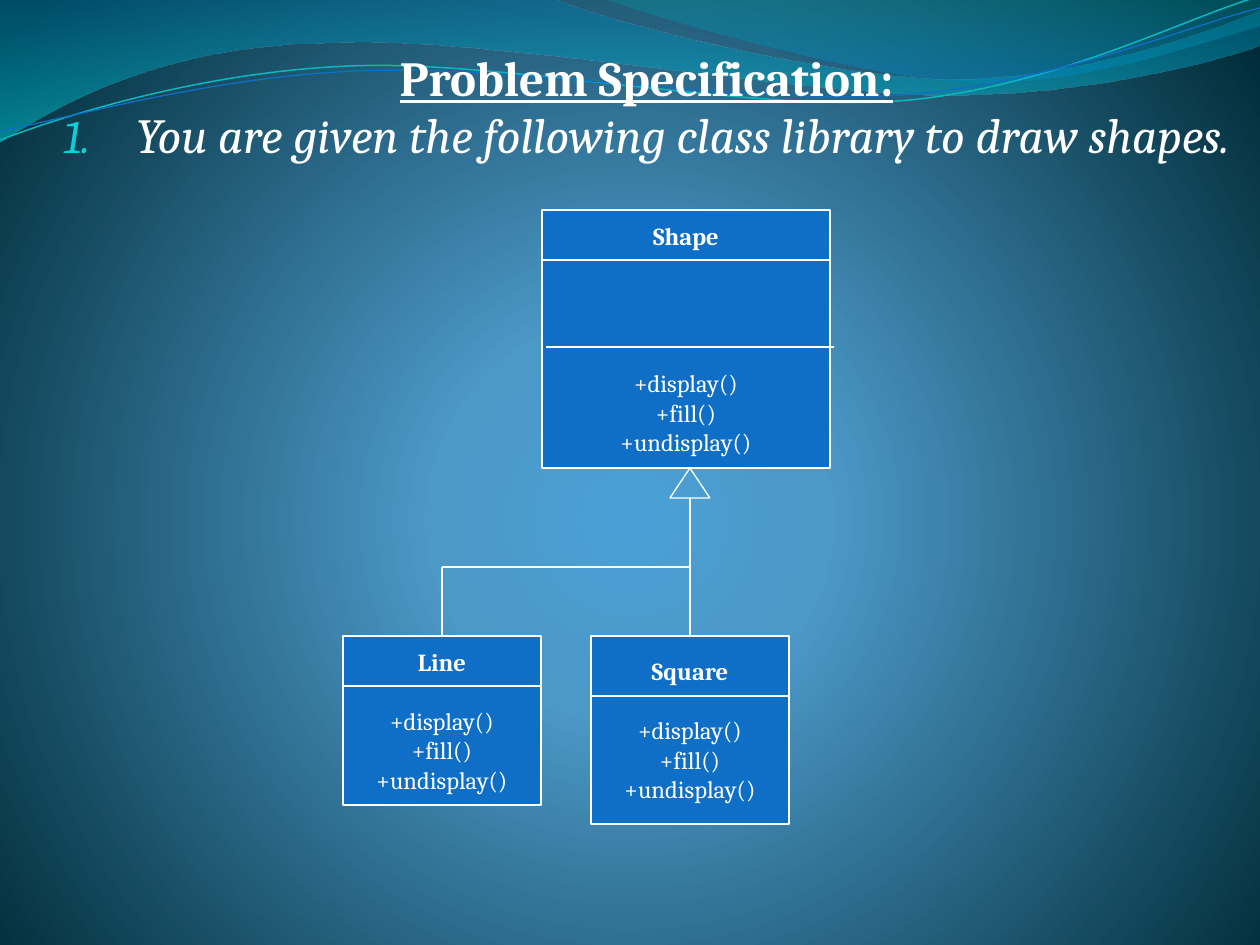
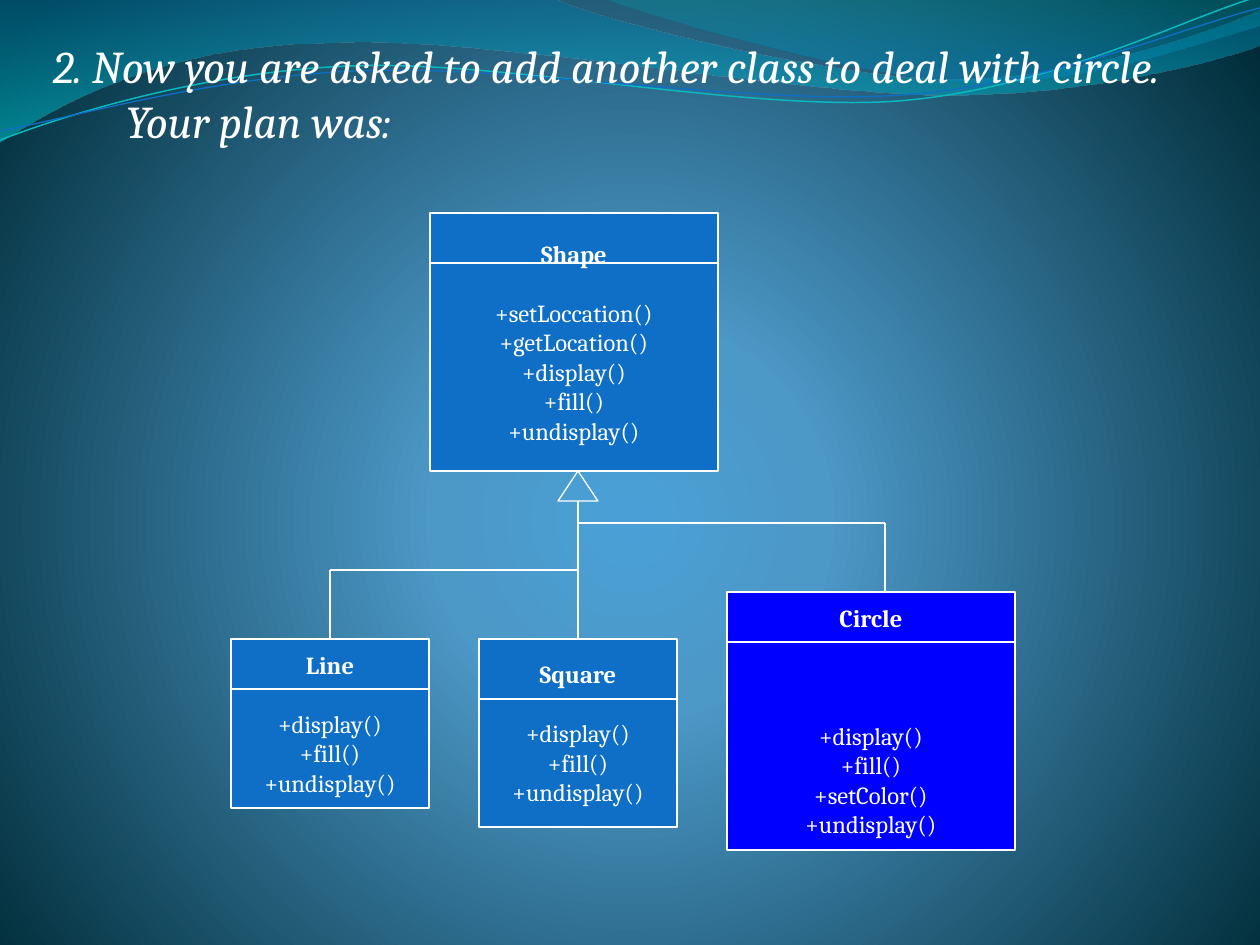
import lxml.etree
import pptx
import pptx.dml.color
import pptx.enum.shapes
import pptx.enum.text
import pptx.oxml
import pptx.oxml.ns
import pptx.util

RGBColor = pptx.dml.color.RGBColor
WHITE = RGBColor(0xFF, 0xFF, 0xFF)
CLASS_BLUE = RGBColor(0x0F, 0x6F, 0xC6)
NEW_CLASS_BLUE = RGBColor(0x00, 0x00, 0xFF)
NUMBER_CYAN = RGBColor(0x0B, 0xD0, 0xD9)
WAVE_TEAL = RGBColor(0x0A, 0xB8, 0xBF)
GLOW_CENTRE = RGBColor(0x4A, 0xA0, 0xD6)
GLOW_MIDDLE = RGBColor(0x4C, 0x98, 0xC7)
GLOW_EDGE = RGBColor(0x00, 0x2C, 0x38)
BAND_BLUE = RGBColor(0x00, 0x74, 0xA1)
BAND_TEAL = RGBColor(0x00, 0xC6, 0xCF)
CORNER_TEAL = RGBColor(0x00, 0xA1, 0xA9)
CORNER_BLUE = RGBColor(0x00, 0x8B, 0xBF)

FONT = "Cambria"
EMU_PER_PX = 914400 / 126
LINE_PITCH = 16.8  # height in points of one 14 pt line
HANGING = 73
RIGHT_INDENT = 6
ALIGN = pptx.enum.text.PP_ALIGN
SHAPE = pptx.enum.shapes.MSO_SHAPE
qn = pptx.oxml.ns.qn


def px(*lengths):
    return [pptx.util.Emu(round(length * EMU_PER_PX)) for length in lengths]


def add_rule(slide, x1, y1, x2, y2, child=None):
    """Draw a white line; with a child, end it at the child's top side."""
    rule = slide.shapes.add_connector(
        pptx.enum.shapes.MSO_CONNECTOR.STRAIGHT, *px(x1, y1, x2, y2))
    rule.line.color.rgb = WHITE
    rule.line.width = pptx.util.Pt(0.75)
    lxml.etree.SubElement(rule.element.spPr, qn("a:effectLst"))
    if child is not None:
        rule.end_connect(child, 0)


prs = pptx.Presentation()
prs.slide_width, prs.slide_height = px(1260, 945)
master = prs.slide_master
slides = [prs.slides.add_slide(prs.slide_layouts[0]) for _ in range(2)]

# Waves on the master: start, then segments (one point: line, three: curve)
DOWNWARD = '<a:lin ang="5400000" scaled="0"/>'
waves = [
    ((0, 0), [[(554, -1)],
              [(600, 21), (837, 79), (955, 79)],
              [(1075, 79), (1208, 33), (1260, 11)],
              [(1261, 45)],
              [(1239, 55), (1096, 96), (940, 95)],
              [(784, 93), (481, 35), (324, 43)],
              [(163, 45), (58, 105), (-1, 142)],
              [(0, 0)]],
     [(0, BAND_BLUE, 45), (100, BAND_TEAL, 55)], None, 0),
    ((604, -1), [[(641, 14), (859, 78), (969, 82)],
                 [(1079, 87), (1211, 40), (1260, 26)],
                 [(1260, 0)],
                 [(604, -1)]],
     [(0, CORNER_TEAL, 30), (80, CORNER_BLUE, 45)], None, 0),
    ((0, 140), [[(60, 117), (199, 72), (349, 66)],
                [(498, 59), (747, 112), (898, 101)],
                [(1050, 89), (1182, 19), (1257, -3)]],
     None, WAVE_TEAL, 0.85),
    ((0, 131), [[(59, 121), (207, 77), (357, 71)],
                [(508, 64), (752, 106), (903, 95)],
                [(1053, 84), (1187, 26), (1260, 8)]],
     None, CLASS_BLUE, 0.75),
]
gradients = [(
    master.background.fill, master.element,
    [(0, GLOW_CENTRE, 100), (25, GLOW_MIDDLE, 100), (100, GLOW_EDGE, 100)],
    '<a:path path="circle">'
    '<a:fillToRect l="10000" t="110000" r="10000" b="100000"/></a:path>')]

for order, (start, segments, stops, line_colour, line_width) in enumerate(waves):
    builder = slides[0].shapes.build_freeform(*px(*start))
    builder.add_line_segments(
        [px(*point) for segment in segments for point in segment],
        close=stops is not None)
    wave = builder.convert_to_shape()
    # Turn each run of three points into one Bézier curve
    steps = iter(wave.element.findall(".//" + qn("a:lnTo")))
    for segment in segments:
        pieces = [next(steps) for _ in segment]
        if len(pieces) == 3:
            curve = lxml.etree.Element(qn("a:cubicBezTo"))
            pieces[0].addprevious(curve)
            for piece in pieces:
                curve.append(piece[0])
                piece.getparent().remove(piece)
    wave.shadow.inherit = False
    if stops:
        wave.line.fill.background()
        gradients.append((wave.fill, wave.element, stops, DOWNWARD))
    else:
        wave.fill.background()
        wave.line.color.rgb = line_colour
        wave.line.width = pptx.util.Pt(line_width)
    wave.element.nvSpPr.cNvPr.set("id", str(20 + order))
    master.shapes.element.insert(2 + order, wave.element)

# Gradients of the background and the bands
for fill, owner, stops, direction in gradients:
    fill.gradient()
    plain = owner.find(".//" + qn("a:gradFill"))
    stop_xml = ""
    for position, colour, opacity in stops:
        alpha = f'<a:alpha val="{opacity * 1000}"/>' if opacity < 100 else ""
        stop_xml += (f'<a:gs pos="{position * 1000}">'
                     f'<a:srgbClr val="{colour}">{alpha}</a:srgbClr></a:gs>')
    plain.getparent().replace(plain, pptx.oxml.parse_xml(
        f'<a:gradFill {pptx.oxml.ns.nsdecls("a")} rotWithShape="1">'
        f'<a:gsLst>{stop_xml}</a:gsLst>{direction}</a:gradFill>'))

# Headings: place, size, alignment, line spacing, paragraphs (text, is title, is numbered)
headings = [
    ((63, 53), 28, ALIGN.CENTER, 0.8, [
        ("Problem Specification:", True, False),
        ("You are given the following class library to draw shapes. ", False, True)]),
    ((53, 32), 26, ALIGN.LEFT, None, [
        ("2. Now you are asked to add another class to deal with circle. "
         "Your plan was:", False, False)]),
]
for slide, (place, size, align, spacing, paragraphs) in zip(slides, headings):
    slide.shapes.title.element.getparent().remove(slide.shapes.title.element)
    heading = slide.placeholders[1]
    heading.left, heading.top, heading.width, heading.height = px(*place, 1176, 179)
    frame = heading.text_frame
    frame.word_wrap = True
    frame.auto_size = pptx.enum.text.MSO_AUTO_SIZE.NONE
    frame.vertical_anchor = pptx.enum.text.MSO_ANCHOR.TOP
    (frame.margin_left, frame.margin_top,
     frame.margin_right, frame.margin_bottom) = px(0, 6, 3, 6)
    for index, (text, is_title, is_numbered) in enumerate(paragraphs):
        paragraph = frame.add_paragraph() if index else frame.paragraphs[0]
        paragraph.alignment = align
        paragraph.line_spacing = spacing
        paragraph.space_before = pptx.util.Pt(size * 0.2)
        properties = paragraph._p.get_or_add_pPr()
        for side, length in (("marL", HANGING), ("marR", RIGHT_INDENT),
                             ("indent", -HANGING)):
            properties.set(side, str(px(length)[0]))
        if is_numbered:
            number_colour = lxml.etree.SubElement(properties, qn("a:buClr"))
            lxml.etree.SubElement(number_colour, qn("a:srgbClr"), val=str(NUMBER_CYAN))
            lxml.etree.SubElement(properties, qn("a:buSzPct"), val="95000")
            lxml.etree.SubElement(properties, qn("a:buAutoNum"), type="arabicPeriod")
        else:
            lxml.etree.SubElement(properties, qn("a:buNone"))
        run = paragraph.add_run()
        run.text = text
        run.font.name = FONT
        run.font.size = pptx.util.Pt(size)
        run.font.color.rgb = WHITE
        run.font.bold = run.font.underline = is_title
        run.font.italic = not is_title

# Class diagrams: name, box, header height, lines left open, methods, fill
METHODS = ["+display()", "+fill()", "+undisplay()"]
LOCATION_METHODS = ["+setLoccation()", "+getLocation()", *METHODS]
CIRCLE_METHODS = ["+display()", "+fill()", "+setColor()", "+undisplay()"]
SHAPE_BOX = (542, 210, 288, 258)
children = [
    ("Line", (343, 636, 198, 169), 50, 1, METHODS, CLASS_BLUE),
    ("Square", (591, 636, 198, 188), 60, 1, METHODS, CLASS_BLUE),
]
diagrams = [
    ((0, 0), [("Shape", SHAPE_BOX, 50, 4, METHODS, CLASS_BLUE), *children]),
    ((-112, 3), [("Shape", SHAPE_BOX, 50, 1, LOCATION_METHODS, CLASS_BLUE), *children,
                 ("Circle", (839, 589, 288, 258), 50, 3, CIRCLE_METHODS, NEW_CLASS_BLUE)]),
]
for slide, ((dx, dy), classes) in zip(slides, diagrams):
    boxes = {}
    for name, (x, y, width, height), header, open_lines, methods, colour in classes:
        left, top = x + dx, y + dy
        box = slide.shapes.add_shape(SHAPE.RECTANGLE, *px(left, top, width, height))
        box.shadow.inherit = False
        box.fill.solid()
        box.fill.fore_color.rgb = colour
        box.line.color.rgb = WHITE
        box.line.width = pptx.util.Pt(0.75)
        frame = box.text_frame
        frame.word_wrap = False
        frame.vertical_anchor = pptx.enum.text.MSO_ANCHOR.MIDDLE
        for index, text in enumerate([name, *methods]):
            paragraph = frame.add_paragraph() if index else frame.paragraphs[0]
            paragraph.alignment = ALIGN.CENTER
            if index == 1:
                paragraph.space_before = pptx.util.Pt(round(open_lines * LINE_PITCH, 1))
            run = paragraph.add_run()
            run.text = text
            run.font.name = FONT
            run.font.size = pptx.util.Pt(14)
            run.font.bold = index == 0
            run.font.color.rgb = WHITE
        add_rule(slide, left, top + header, left + width, top + header)
        boxes[name] = box

    # Inheritance arrow and its branches
    stem, branch, child_top = 690 + dx, 567 + dy, 636 + dy
    line_middle = 442 + dx
    add_rule(slide, line_middle, branch, line_middle, child_top, boxes["Line"])
    add_rule(slide, stem, 498 + dy, stem, child_top, boxes["Square"])
    add_rule(slide, line_middle, branch, stem, branch)
    arrowhead = slide.shapes.add_shape(
        SHAPE.ISOSCELES_TRIANGLE, *px(stem - 20, 468 + dy, 40, 30))
    arrowhead.shadow.inherit = False
    arrowhead.fill.background()
    arrowhead.line.color.rgb = WHITE
    arrowhead.line.width = pptx.util.Pt(0.75)

# Divider above the methods of Shape on the first slide
add_rule(slides[0], 546, 347, 834, 347)

# Branch to Circle on the second slide
add_rule(slides[1], 578, 523, 885, 523)
add_rule(slides[1], 885, 523, 885, 592)

prs.save("out.pptx")
